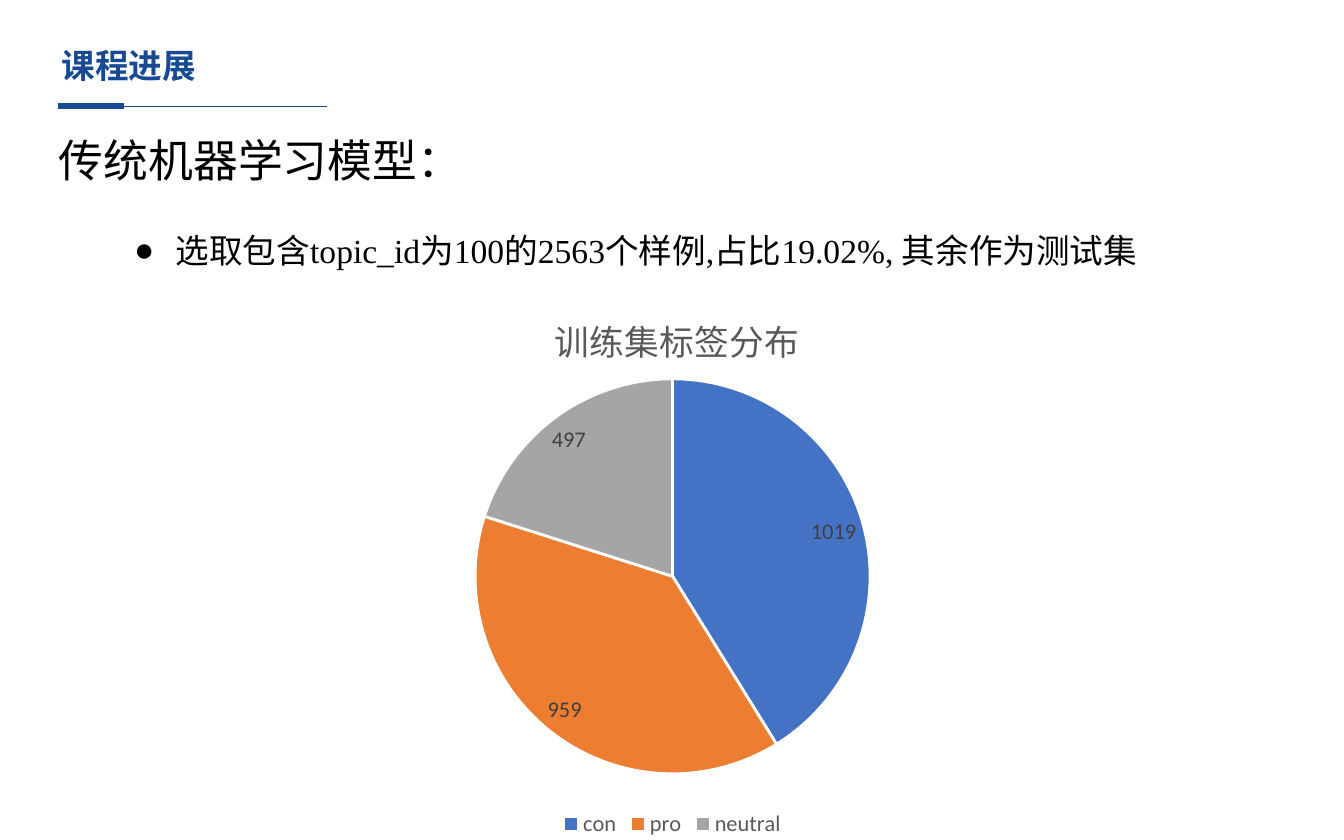
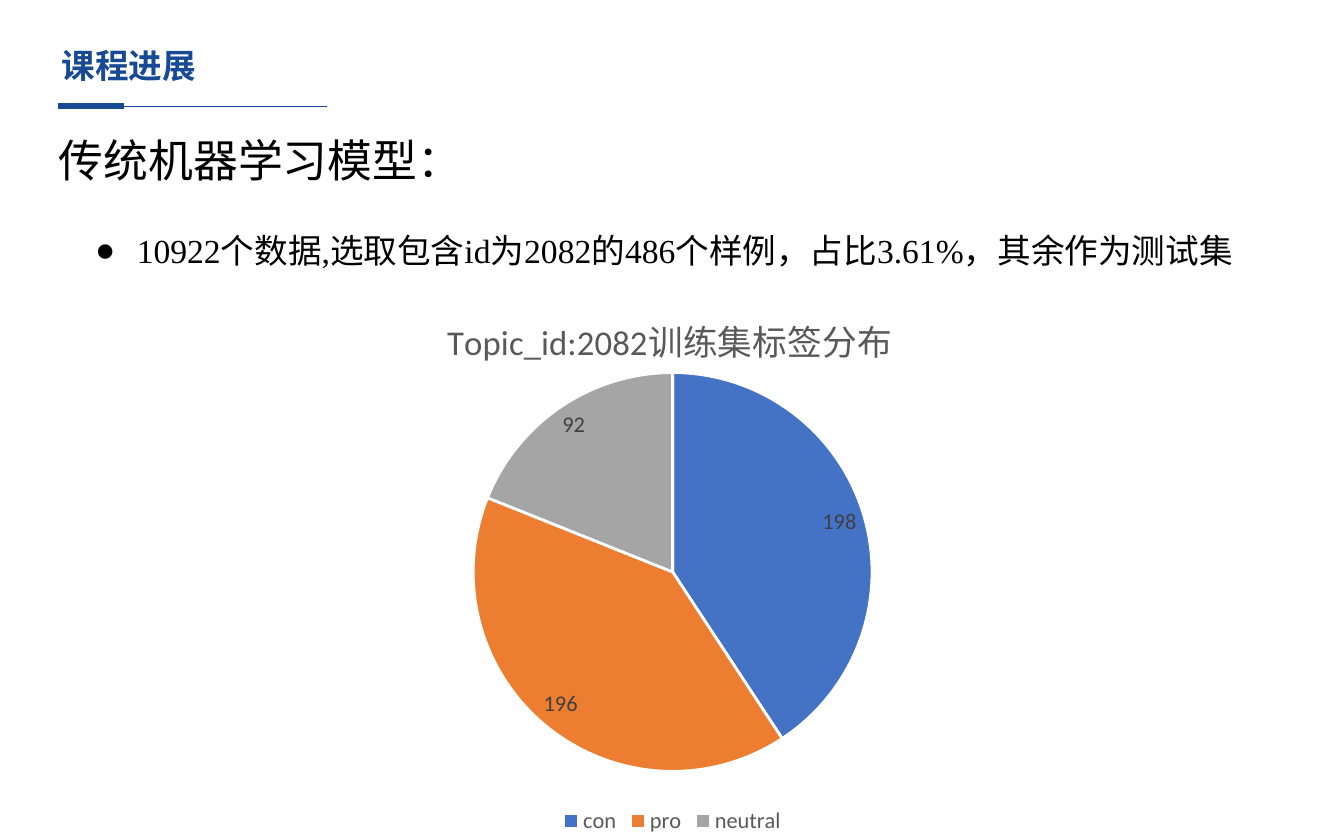
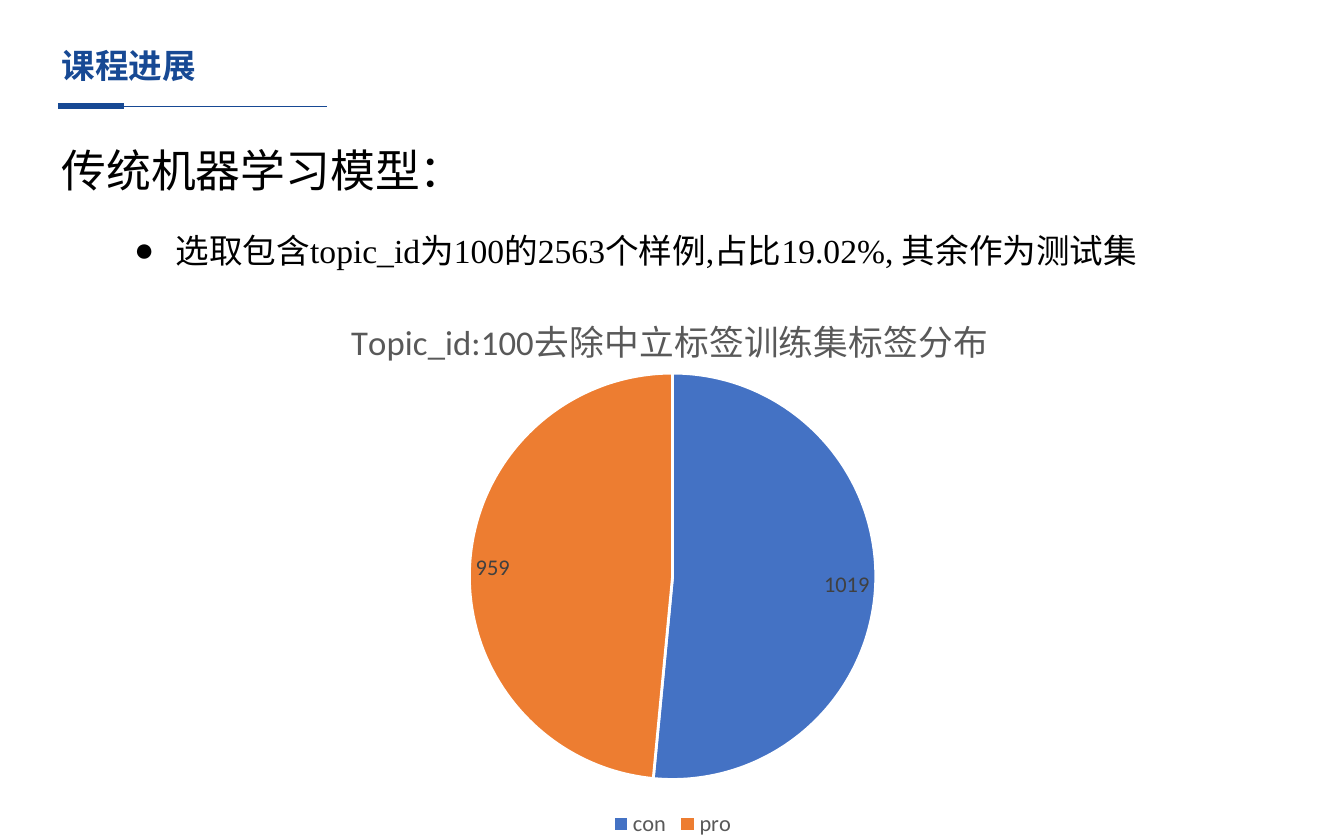
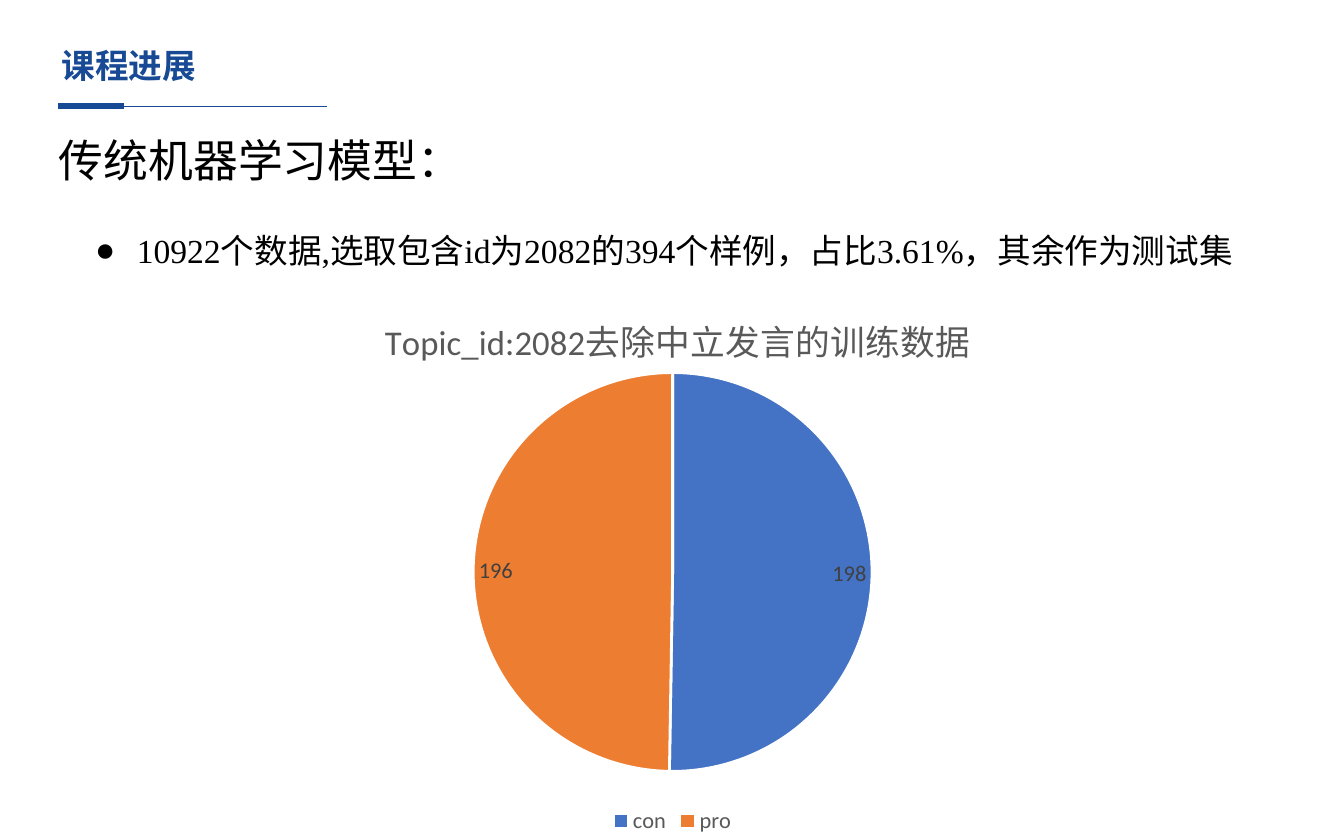
from dataclasses import dataclass
from typing import Any

import pptx
import pptx.chart.data
import pptx.dml.color
import pptx.enum.chart
import pptx.enum.shapes
import pptx.enum.text
import pptx.oxml
import pptx.oxml.ns
import pptx.util
from lxml import etree

Inches = pptx.util.Inches
Pt = pptx.util.Pt
qn = pptx.oxml.ns.qn


@dataclass(frozen=True)
class TextStyle:
    font: str
    size: float
    color: str
    bold: bool = False


@dataclass(frozen=True)
class Theme:
    east_asian_font: str = "Noto Sans CJK SC"
    accent: str = "174994"
    white: str = "FFFFFF"
    slices: tuple[str, ...] = ("4472C4", "ED7D31", "A5A5A5")
    title: TextStyle = TextStyle("Arial", 18, "174994", True)
    heading: TextStyle = TextStyle("Noto Sans CJK SC", 24, "000000")
    bullet: TextStyle = TextStyle("Times New Roman", 18, "000000")
    chart: TextStyle = TextStyle("Calibri", 10, "000000")
    chart_title: TextStyle = TextStyle("Calibri", 18.6, "595959")
    legend: TextStyle = TextStyle("Calibri", 12, "595959")
    label: TextStyle = TextStyle("Calibri", 12, "404040")


@dataclass(frozen=True)
class Box:
    left: float
    top: float
    width: float
    height: float

    def lengths(self) -> tuple[int, ...]:
        return tuple(Inches(value) for value in (self.left, self.top, self.width, self.height))


@dataclass(frozen=True)
class Topic:
    bullet_box: Box
    chart_box: Box


@dataclass(frozen=True)
class PieSlide:
    topic: Topic
    bullet: str
    chart_title: str
    title_left: float
    counts: tuple[int, ...]
    plot_top: float = 0.18
    plot_height: float = 0.7
    heading_box: Box = Box(0.34, 0.94, 8.71, 0.5)


THEME = Theme()
TITLE = "课程进展"
HEADING = "传统机器学习模型："
LABELS = ("con", "pro", "neutral")
TITLE_BOX = Box(0.36, 0.22, 7.43, 0.56)
RULE_LEFT, RULE_TOP = 0.43, 0.79
RULES = ((2.0, 0.5), (0.49, 3))

TOPIC_100 = Topic(Box(0.9, 1.51, 8.2, 0.5), Box(1.71, 2.01, 6.59, 4.26))
TOPIC_2082 = Topic(Box(0.61, 1.51, 8.71, 0.5), Box(1.69, 2.01, 6.63, 4.24))
BULLET_100 = "选取包含topic_id为100的2563个样例,占比19.02%, 其余作为测试集"
BULLET_2082 = "10922个数据,选取包含id为2082的{}个样例，占比3.61%，其余作为测试集"

SLIDES = (
    PieSlide(TOPIC_100, BULLET_100, "训练集标签分布", 0.36, (1019, 959, 497), 0.19, 0.69),
    PieSlide(TOPIC_2082, BULLET_2082.format(486), "Topic_id:2082训练集标签分布",
             0.24, (198, 196, 92)),
    PieSlide(TOPIC_100, BULLET_100, "Topic_id:100去除中立标签训练集标签分布",
             0.13, (1019, 959), 0.18, 0.71, Box(0.36, 1.01, 8.71, 0.5)),
    PieSlide(TOPIC_2082, BULLET_2082.format(394), "Topic_id:2082去除中立发言的训练数据",
             0.17, (198, 196)),
)


def set_values(target: Any, values: dict[str, Any]) -> None:
    for name, value in values.items():
        setattr(target, name, value)


def rgb(color: str) -> pptx.dml.color.RGBColor:
    return pptx.dml.color.RGBColor.from_string(color)


def style_font(font: Any, style: TextStyle) -> None:
    set_values(font, {"name": style.font, "size": Pt(style.size), "bold": style.bold})
    font.color.rgb = rgb(style.color)


def add_text(slide: Any, box: Box, text: str, style: TextStyle,
             frame_format: dict[str, Any], paragraph_format: dict[str, Any]) -> Any:
    frame = slide.shapes.add_textbox(*box.lengths()).text_frame
    set_values(frame, {"word_wrap": True, **frame_format})
    paragraph = frame.paragraphs[0]
    set_values(paragraph, paragraph_format)
    run = paragraph.add_run()
    run.text = text
    style_font(run.font, style)
    east_asian = etree.SubElement(run.font._element, qn("a:ea"))
    east_asian.set("typeface", THEME.east_asian_font)
    return paragraph


def add_bullet(paragraph: Any) -> None:
    properties = paragraph._p.get_or_add_pPr()
    properties.set("marL", str(Inches(0.31)))
    properties.set("indent", str(Inches(-0.31)))
    etree.SubElement(properties, qn("a:buFont")).set("typeface", "Arial")
    etree.SubElement(properties, qn("a:buChar")).set("char", "●")


def add_rule(slide: Any, length: float, weight: float) -> None:
    rule = slide.shapes.add_connector(
        pptx.enum.shapes.MSO_CONNECTOR.STRAIGHT,
        Inches(RULE_LEFT), Inches(RULE_TOP), Inches(RULE_LEFT + length), Inches(RULE_TOP))
    rule.line.color.rgb = rgb(THEME.accent)
    rule.line.width = Pt(weight)
    etree.SubElement(rule._element.spPr, qn("a:effectLst"))


def set_layout(element: Any, values: dict[str, Any]) -> None:
    layout = element.find(qn("c:layout"))
    if layout is None:
        layout = pptx.oxml.parse_xml(f'<c:layout {pptx.oxml.ns.nsdecls("c")}/>')
        text = element.find(qn("c:tx"))
        if text is None:
            element.insert(0, layout)
        else:
            text.addnext(layout)
    for child in list(layout):
        layout.remove(child)
    manual = etree.SubElement(layout, qn("c:manualLayout"))
    for name, value in values.items():
        etree.SubElement(manual, qn(f"c:{name}")).set("val", str(value))


def add_pie(slide: Any, content: PieSlide) -> None:
    data = pptx.chart.data.CategoryChartData()
    data.categories = LABELS[:len(content.counts)]
    data.add_series("Series 1", content.counts)
    chart = slide.shapes.add_chart(
        pptx.enum.chart.XL_CHART_TYPE.PIE, *content.topic.chart_box.lengths(), data).chart
    style_font(chart.font, THEME.chart)

    set_values(chart, {"has_title": True, "has_legend": True})
    title_run = chart.chart_title.text_frame.paragraphs[0].add_run()
    title_run.text = content.chart_title
    style_font(title_run.font, THEME.chart_title)
    chart.chart_title.include_in_layout = False
    edges = {"xMode": "edge", "yMode": "edge"}
    set_layout(chart.chart_title._element, {**edges, "x": content.title_left, "y": 0.06})
    set_layout(chart._chartSpace.chart.plotArea, {
        "layoutTarget": "inner", **edges, "x": 0.1, "y": content.plot_top,
        "w": 0.8, "h": content.plot_height})

    set_values(chart.legend, {
        "position": pptx.enum.chart.XL_LEGEND_POSITION.BOTTOM, "include_in_layout": False})
    style_font(chart.legend.font, THEME.legend)

    plot = chart.plots[0]
    set_values(plot, {"vary_by_categories": True, "has_data_labels": True})
    labels = plot.series[0].data_labels
    set_values(labels, {
        "show_value": True, "position": pptx.enum.chart.XL_LABEL_POSITION.BEST_FIT})
    style_font(labels.font, THEME.label)
    for index, color in enumerate(THEME.slices[:len(content.counts)]):
        slice_format = plot.series[0].points[index].format
        slice_format.fill.solid()
        slice_format.fill.fore_color.rgb = rgb(color)
        slice_format.line.color.rgb = rgb(THEME.white)
        slice_format.line.width = Pt(1.5)


def add_slide(presentation: Any, content: PieSlide) -> None:
    slide = presentation.slides.add_slide(presentation.slide_layouts[6])
    grow = {"auto_size": pptx.enum.text.MSO_AUTO_SIZE.SHAPE_TO_FIT_TEXT}
    for length, weight in RULES:
        add_rule(slide, length, weight)
    add_pie(slide, content)
    add_text(slide, TITLE_BOX, TITLE, THEME.title,
             {"vertical_anchor": pptx.enum.text.MSO_ANCHOR.MIDDLE}, {"line_spacing": 0.9})
    add_bullet(add_text(slide, content.topic.bullet_box, content.bullet, THEME.bullet,
                        grow, {"line_spacing": 1.5}))
    add_text(slide, content.heading_box, HEADING, THEME.heading, grow, {})


def main() -> None:
    presentation = pptx.Presentation()
    set_values(presentation, {"slide_width": Inches(10), "slide_height": Inches(6.25)})
    for content in SLIDES:
        add_slide(presentation, content)
    presentation.save("out.pptx")


if __name__ == "__main__":
    main()
